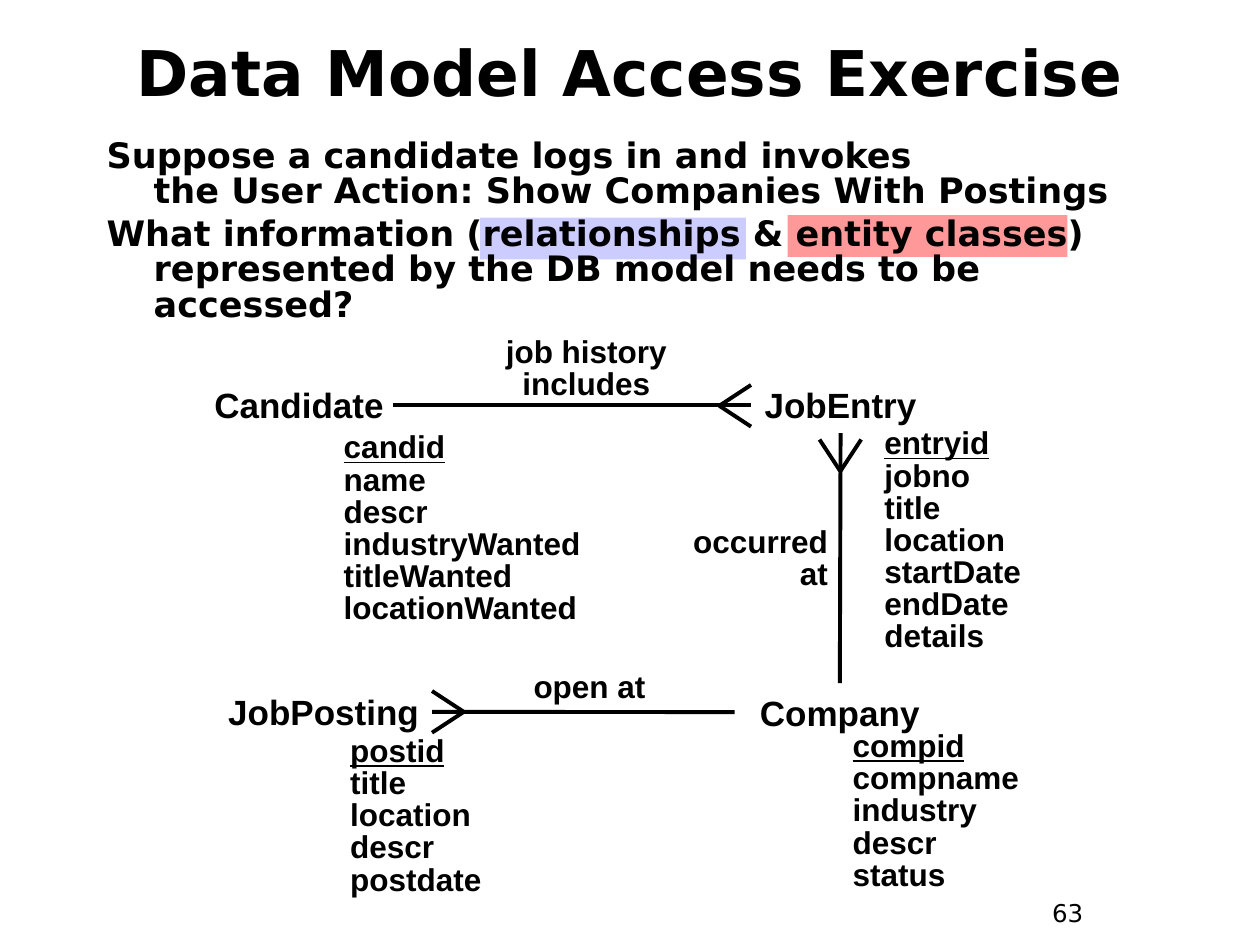
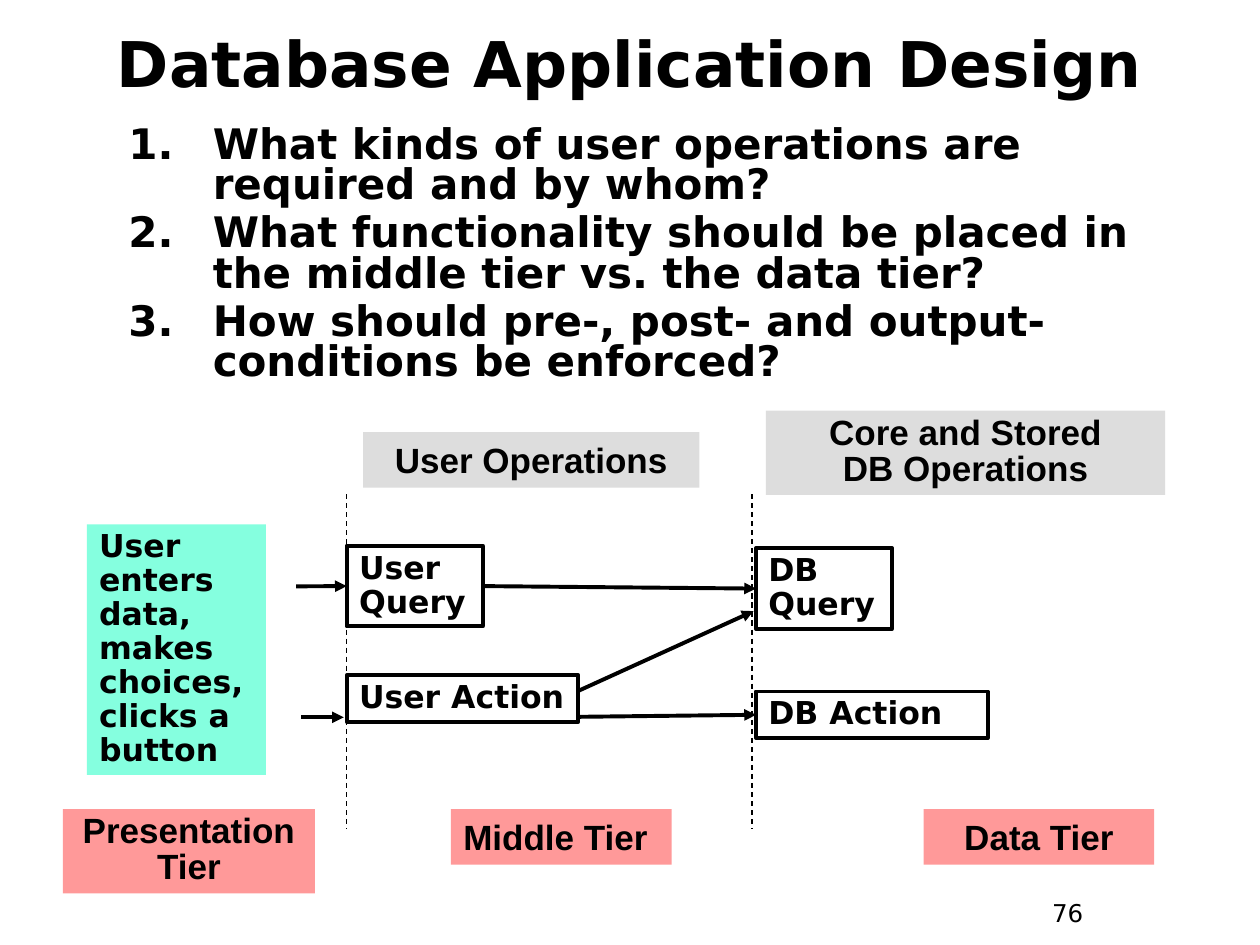
from lxml.etree import SubElement
from pptx import Presentation
from pptx.dml.color import RGBColor
from pptx.enum.dml import MSO_LINE
from pptx.enum.shapes import MSO_CONNECTOR, MSO_SHAPE
from pptx.enum.text import MSO_ANCHOR, PP_ALIGN
from pptx.oxml.ns import qn
from pptx.util import Cm, Pt

BLACK = RGBColor(0x00, 0x00, 0x00)
WHITE = RGBColor(0xFF, 0xFF, 0xFF)
ROSE = RGBColor(0xFF, 0x99, 0x99)
LAVENDER = RGBColor(0xCC, 0xCC, 0xFF)
MINT = RGBColor(0x85, 0xFF, 0xDF)
GRAY = RGBColor(0xDD, 0xDD, 0xDD)

SANS = "DejaVu Sans"
ARIAL = "Arial"
LEFT, CENTER, RIGHT = PP_ALIGN.LEFT, PP_ALIGN.CENTER, PP_ALIGN.RIGHT
TOP, LEFT_SIDE, BOTTOM, RIGHT_SIDE = range(4)


class Deck:
    def __init__(self):
        self.prs = Presentation()
        self.prs.slide_width, self.prs.slide_height = Cm(25.4), Cm(19.05)
        self.s = None

    def slide(self, title, title_top, number):
        self.s = self.prs.slides.add_slide(self.prs.slide_layouts[6])
        self.text((20.96, 17.98, 1.9, 0.94), number, SANS, 14, bold=False)
        self.text((0.84, title_top, 23.7, 2.11), title, SANS, 36, CENTER,
                  anchor=MSO_ANCHOR.MIDDLE)

    def set_text(self, sp, text, font, size, align=LEFT, spacing=1.0, before=0,
                 anchor=MSO_ANCHOR.TOP, wrap=True, bold=True):
        tf = sp.text_frame
        tf.text = text
        tf.word_wrap = wrap
        tf.vertical_anchor = anchor
        for i, p in enumerate(tf.paragraphs):
            p.alignment = align
            p.line_spacing = spacing
            p.space_before = Pt(before if i else 0)
            for r in p.runs:
                r.font.name, r.font.size, r.font.bold = font, Pt(size), bold
                r.font.color.rgb = BLACK
        return tf

    def text(self, at, text, font, size, align=LEFT, **style):
        sp = self.s.shapes.add_textbox(*map(Cm, at))
        return self.set_text(sp, text, font, size, align, **style)

    def body(self, at, text, size, hanging, spacing, before, numbered=False):
        tf = self.text(at, text, SANS, size, spacing=spacing, before=before)
        for p in tf.paragraphs:
            pPr = p._p.get_or_add_pPr()
            pPr.set("marL", str(Cm(hanging)))
            pPr.set("indent", str(-Cm(hanging)))
            if numbered:
                SubElement(pPr, qn("a:buAutoNum"), type="arabicPeriod")

    def rect(self, at, fill=None, outlined=False):
        sp = self.s.shapes.add_shape(MSO_SHAPE.RECTANGLE, *map(Cm, at))
        sp.shadow.inherit = False
        if fill is None:
            sp.fill.background()
        else:
            sp.fill.solid()
            sp.fill.fore_color.rgb = fill
        if outlined:
            sp.line.color.rgb = BLACK
            sp.line.width = Pt(2.25)
        else:
            sp.line.fill.background()
        return sp

    def entity(self, name, at):
        sp = self.rect(at, WHITE)
        self.set_text(sp, name, ARIAL, 20, CENTER, anchor=MSO_ANCHOR.MIDDLE, wrap=False)
        return sp

    def attributes(self, names, at):
        tf = self.text(at, "\n".join(names.split()), ARIAL, 18, spacing=0.85)
        tf.paragraphs[0].runs[0].font.underline = True

    def label(self, text, at, align=CENTER):
        self.text(at, text, ARIAL, 18, align, spacing=0.85)

    def operation(self, text, at):
        sp = self.rect(at, outlined=True)
        self.set_text(sp, text, SANS, 18, spacing=0.9)
        return sp

    def band(self, text, at, fill, align=CENTER, **style):
        self.set_text(self.rect(at, fill), text, ARIAL, 20, align, **style)

    def line(self, start=(0, 0), end=(0, 0), join_start=None, join_end=None,
             width=2.25, dashed=False, arrow=False):
        c = self.s.shapes.add_connector(MSO_CONNECTOR.STRAIGHT, *map(Cm, start + end))
        if join_start:
            c.begin_connect(*join_start)
        if join_end:
            c.end_connect(*join_end)
        c.line.color.rgb = BLACK
        c.line.width = Pt(width)
        if dashed:
            c.line.dash_style = MSO_LINE.DASH
        spPr = c.element.spPr
        if arrow:
            SubElement(spPr.find(qn("a:ln")), qn("a:tailEnd"), type="triangle")
        SubElement(spPr, qn("a:effectLst"))

    def crow_foot(self, x, y, dx=0, dy=0):
        for spread in (-0.42, 0.42):
            self.line((x, y), (x + (dx or spread), y + (dy or spread)))


def data_model(d):
    d.slide("Data Model Access Exercise", 0.38, "63")
    d.rect((15.88, 4.34, 5.64, 0.84), ROSE)
    d.rect((9.68, 4.39, 5.36, 0.84), LAVENDER)
    d.body((1.9, 2.69, 21.59, 4.24),
           "Suppose a candidate logs in and invokes\v"
           "the User Action: Show Companies With Postings\n"
           "What information (relationships & entity classes) "
           "represented by the DB model needs to be accessed?",
           20, 0.95, 0.85, 3.7)

    candidate = d.entity("Candidate", (4.14, 7.59, 3.78, 1.14))
    posting = d.entity("JobPosting", (4.34, 13.64, 4.37, 1.42))
    entry = d.entity("JobEntry", (15.14, 7.59, 3.61, 1.14))
    company = d.entity("Company", (14.81, 13.77, 4.24, 1.17))

    d.line(join_start=(candidate, RIGHT_SIDE), join_end=(entry, LEFT_SIDE))
    d.line(join_start=(posting, RIGHT_SIDE), join_end=(company, LEFT_SIDE))
    d.line(join_start=(entry, BOTTOM), join_end=(company, TOP))
    d.crow_foot(14.5, 8.18, dx=0.64)
    d.crow_foot(9.35, 14.35, dx=-0.64)
    d.crow_foot(16.94, 9.5, dy=-0.64)

    d.label("job history includes", (8.86, 6.68, 5.92, 1.55))
    d.label("open at", (9.7, 13.44, 4.37, 0.91))
    d.label("occurred\vat", (13.16, 10.52, 3.78, 1.55), RIGHT)

    d.attributes("candid name descr industryWanted titleWanted locationWanted",
                 (6.68, 8.61, 5.82, 4.14))
    d.attributes("postid title location descr postdate", (6.81, 14.73, 4.37, 3.51))
    d.attributes("entryid jobno title location startDate endDate details",
                 (17.58, 8.53, 3.38, 4.8))
    d.attributes("compid compname industry descr status", (16.94, 14.63, 4.01, 3.51))


def application_design(d):
    d.slide("Database Application Design", 0.2, "76")
    d.body((2.34, 2.44, 21.59, 5.51),
           "What kinds of user operations are required and by whom?\n"
           "What functionality should be placed in the middle tier vs. the data tier?\n"
           "How should pre-, post- and output-conditions be enforced?",
           24, 1.7, 0.8, 4.5, numbered=True)

    for x in (6.99, 15.16):
        d.line((x, 9.96), (x, 16.71), width=0.75, dashed=True)

    d.band("Presentation Tier", (1.27, 16.31, 5.08, 1.7), ROSE, spacing=0.85)
    d.band("Middle Tier", (9.09, 16.31, 4.45, 1.12), ROSE, LEFT)
    d.band("Data Tier", (18.62, 16.31, 4.65, 1.12), ROSE)
    d.band("User Operations", (7.32, 8.71, 6.78, 1.12), GRAY, anchor=MSO_ANCHOR.MIDDLE)
    d.band("Core and Stored\vDB Operations", (15.44, 8.28, 8.05, 1.7), GRAY,
           spacing=0.85, anchor=MSO_ANCHOR.MIDDLE)

    d.set_text(d.rect((1.75, 10.57, 3.61, 5.05), MINT),
               "User enters data, makes choices, clicks a button", SANS, 18, spacing=0.9)
    user_query = d.operation("User Query", (6.99, 11, 2.74, 1.63))
    d.operation("User Action", (6.99, 13.61, 4.67, 0.94))
    db_query = d.operation("DB\vQuery", (15.24, 11.05, 2.74, 1.63))
    db_action = d.operation("DB Action", (15.24, 13.94, 4.67, 0.94))

    d.line((5.97, 11.82), join_end=(user_query, LEFT_SIDE), arrow=True)
    d.line((6.07, 14.46), (6.93, 14.46), arrow=True)
    d.line(join_start=(user_query, RIGHT_SIDE), join_end=(db_query, LEFT_SIDE), arrow=True)
    d.line((11.68, 14.45), join_end=(db_action, LEFT_SIDE), arrow=True)
    d.line((11.63, 13.94), (15.19, 12.32), arrow=True)


def main():
    d = Deck()
    data_model(d)
    application_design(d)
    d.prs.save("out.pptx")


if __name__ == "__main__":
    main()
